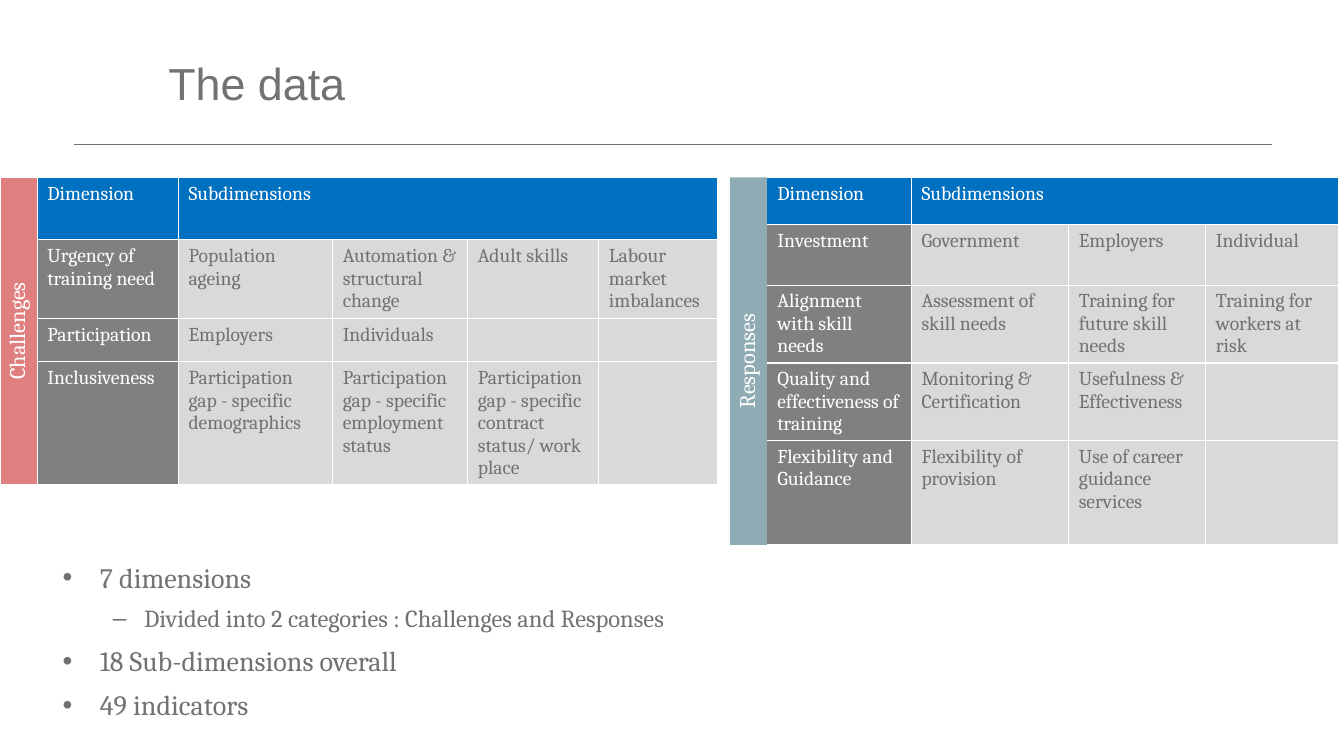
from dataclasses import dataclass

from lxml import etree
from pptx import Presentation
from pptx.dml.color import RGBColor
from pptx.enum import shapes, text
from pptx.oxml import ns
from pptx.util import Inches, Pt


@dataclass(frozen=True)
class Theme:
    grey: str = "727272"
    white: str = "FFFFFF"
    header: str = "0070C0"
    dimension: str = "808080"
    subdimension: str = "D9D9D9"
    challenges: str = "C00000"
    responses: str = "215968"
    heading_font: str = "Arial"
    body_font: str = "Cambria"
    title_size: float = 32
    label_size: float = 16
    cell_size: float = 14
    bullet_sizes: tuple = (20, 17.5)


theme = Theme()


def format_runs(paragraph, font, size, color):
    for run in paragraph.runs:
        run.font.name = font
        run.font.size = Pt(size)
        run.font.color.rgb = RGBColor.from_string(color)


def add_border(cell, side, visible):
    """Draw one side (L, R, T or B) as a thin white line, or hide it."""
    line = etree.SubElement(cell._tc.get_or_add_tcPr(), ns.qn(f"a:ln{side}"), w=str(Pt(1)))
    if visible:
        fill = etree.SubElement(line, ns.qn("a:solidFill"))
        etree.SubElement(fill, ns.qn("a:srgbClr"), val=theme.white)
    else:
        etree.SubElement(line, ns.qn("a:noFill"))


presentation = Presentation()
presentation.slide_width = Inches(13.33)
presentation.slide_height = Inches(7.5)
slide = presentation.slides.add_slide(presentation.slide_layouts[1])

# Title and rule
title = slide.shapes.title
title.left, title.top = Inches(1.57), Inches(0.26)
title.width, title.height = Inches(10.81), Inches(1.12)
title.text_frame.text = "The data"
title.text_frame.vertical_anchor = text.MSO_ANCHOR.MIDDLE
title.text_frame.auto_size = text.MSO_AUTO_SIZE.NONE
title.text_frame.paragraphs[0].alignment = text.PP_ALIGN.LEFT
format_runs(title.text_frame.paragraphs[0], theme.heading_font, theme.title_size, theme.grey)

rule = slide.shapes.add_connector(
    shapes.MSO_CONNECTOR.STRAIGHT, Inches(0.73), Inches(1.43), Inches(12.62), Inches(1.43))
rule.line.color.rgb = RGBColor.from_string(theme.grey)
rule.line.width = Pt(0.5)
etree.SubElement(rule._element.spPr, ns.qn("a:effectLst"))

# Tables: label, label colour, label has borders, left, column widths, row heights, rows
tables = [
    ("Challenges", theme.challenges, True, 0,
     [0.37, 1.4, 1.53, 1.34, 1.3, 1.18], [0.62, 0.78, 0.43, 1.21],
     [["Urgency of training need", "Population ageing", "Automation & structural change",
       "Adult skills", "Labour market imbalances"],
      ["Participation", "Employers", "Individuals", "", ""],
      ["Inclusiveness", "Participation gap - specific demographics",
       "Participation gap - specific employment status",
       "Participation gap - specific contract status/ work place", ""]]),
    ("Responses", theme.responses, False, 7.24,
     [0.37, 1.43, 1.56, 1.36, 1.32], [0.47, 0.6, 0.77, 0.77, 1.03],
     [["Investment", "Government", "Employers", "Individual"],
      ["Alignment with skill needs", "Assessment of skill needs",
       "Training for future skill needs", "Training for workers at risk"],
      ["Quality and effectiveness of training", "Monitoring & Certification",
       "Usefulness & Effectiveness", ""],
      ["Flexibility and Guidance", "Flexibility of provision",
       "Use of career guidance services", ""]]),
]
for label, label_color, label_bordered, left, widths, heights, rows in tables:
    table = slide.shapes.add_table(
        len(heights), len(widths), Inches(left), Inches(1.76),
        Inches(sum(widths)), Inches(sum(heights))).table
    table.first_row = table.horz_banding = False
    for column, width in zip(table.columns, widths):
        column.width = Inches(width)
    for row, height in zip(table.rows, heights):
        row.height = Inches(height)

    header = ["Dimension", "Subdimensions"] + [""] * (len(widths) - 3)
    for row_index, wording in enumerate([header] + rows):
        for column_index, words in enumerate([""] + wording):
            cell = table.cell(row_index, column_index)
            for side in "LRTB":
                hidden = column_index == 0 or (column_index == 1 and side == "L")
                add_border(cell, side, label_bordered or not hidden)
            if column_index == 0:
                fill_color = label_color
            elif row_index == 0:
                fill_color = theme.header
            else:
                fill_color = theme.dimension if column_index == 1 else theme.subdimension
            cell.fill.solid()
            cell.fill.fore_color.rgb = RGBColor.from_string(fill_color)
            if words:
                cell.text_frame.text = words
                color = theme.grey if fill_color == theme.subdimension else theme.white
                format_runs(cell.text_frame.paragraphs[0], theme.body_font, theme.cell_size, color)

    table.cell(0, 2).merge(table.cell(0, len(widths) - 1))
    label_cell = table.cell(0, 0)
    label_cell.merge(table.cell(len(heights) - 1, 0))
    label_cell.text_frame.text = label
    label_paragraph = label_cell.text_frame.paragraphs[0]
    label_paragraph.alignment = text.PP_ALIGN.CENTER
    format_runs(label_paragraph, theme.body_font, theme.label_size, theme.white)
    properties = label_cell._tc.get_or_add_tcPr()
    properties.set("vert", "vert270")
    label_fill = properties.find(f"{ns.qn('a:solidFill')}/{ns.qn('a:srgbClr')}")
    etree.SubElement(label_fill, ns.qn("a:alpha"), val="50000")

# Bullets
body = slide.placeholders[1]
body.left, body.top = Inches(0.52), Inches(5.51)
body.width, body.height = Inches(11.98), Inches(1.5)
body.text_frame.auto_size = text.MSO_AUTO_SIZE.NONE
bullets = [
    (0, "7 dimensions"),
    (1, "Divided into 2 categories : Challenges and Responses"),
    (0, "18 Sub-dimensions overall"),
    (0, "49 indicators"),
]
level_styles = [("•", 0.37, -0.37, 7.7), ("–", 0.81, -0.31, 6.7)]
body.text_frame.text = "\n".join(words for level, words in bullets)
for index, (paragraph, (level, words)) in enumerate(zip(body.text_frame.paragraphs, bullets)):
    mark, margin, indent, space = level_styles[level]
    paragraph.level = level
    properties = paragraph._p.get_or_add_pPr()
    properties.set("marL", str(Inches(margin)))
    properties.set("indent", str(Inches(indent)))
    bullet_color = etree.SubElement(properties, ns.qn("a:buClr"))
    etree.SubElement(bullet_color, ns.qn("a:srgbClr"), val=theme.grey)
    etree.SubElement(properties, ns.qn("a:buFont"), typeface=theme.heading_font)
    etree.SubElement(properties, ns.qn("a:buChar"), char=mark)
    paragraph.space_before = Pt(space if index else 0)
    format_runs(paragraph, theme.body_font, theme.bullet_sizes[level], theme.grey)

presentation.save("out.pptx")
